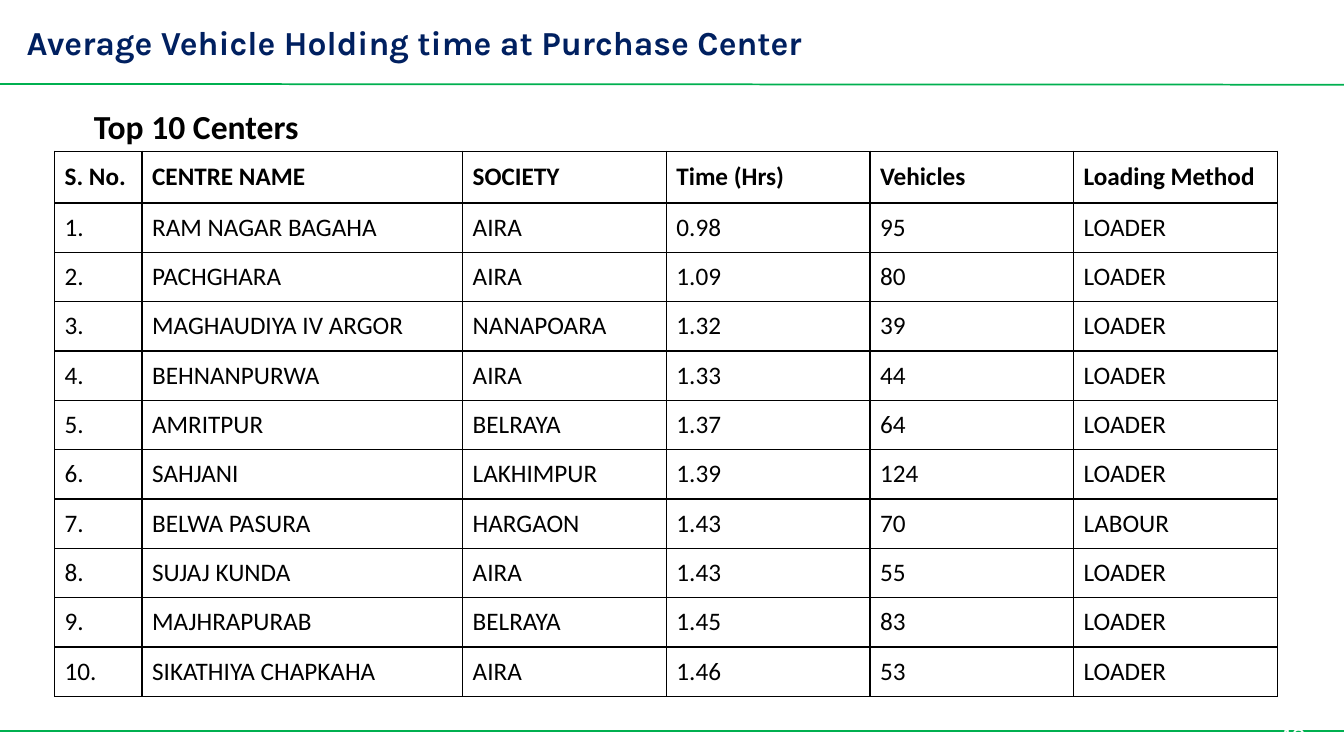
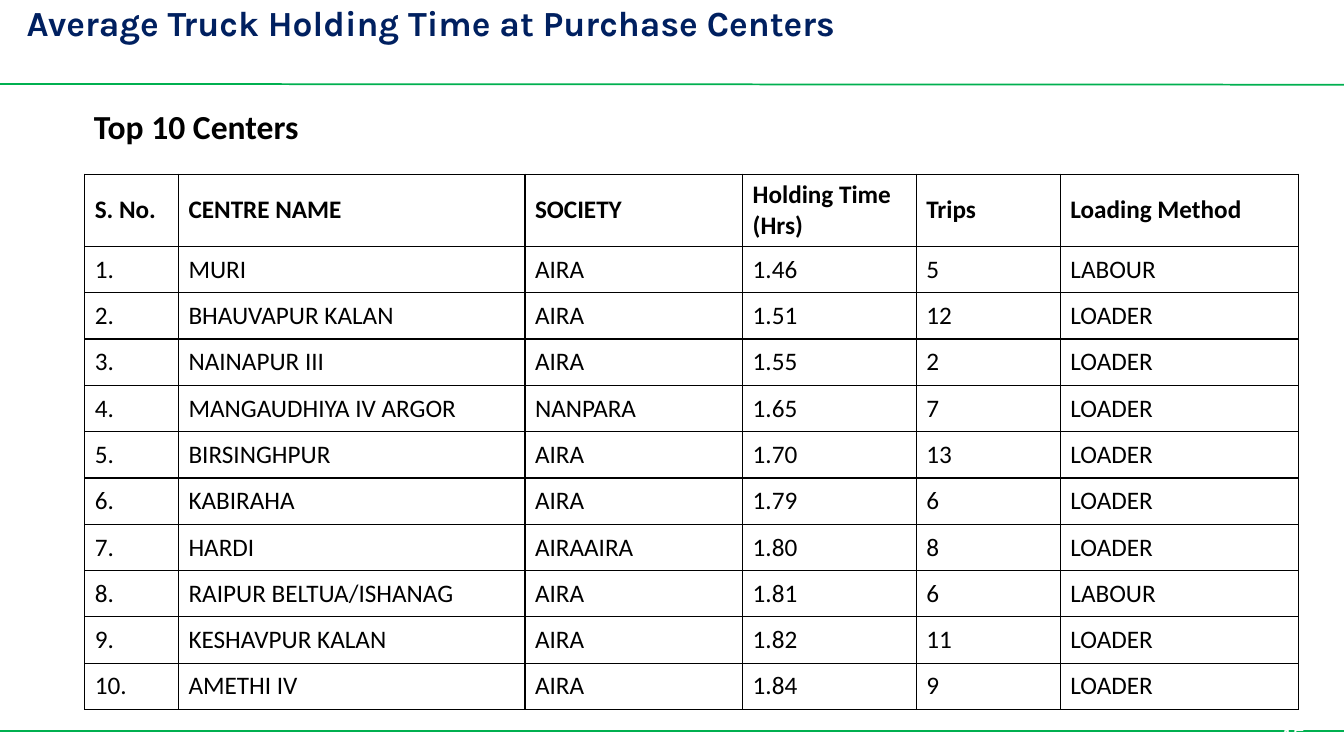
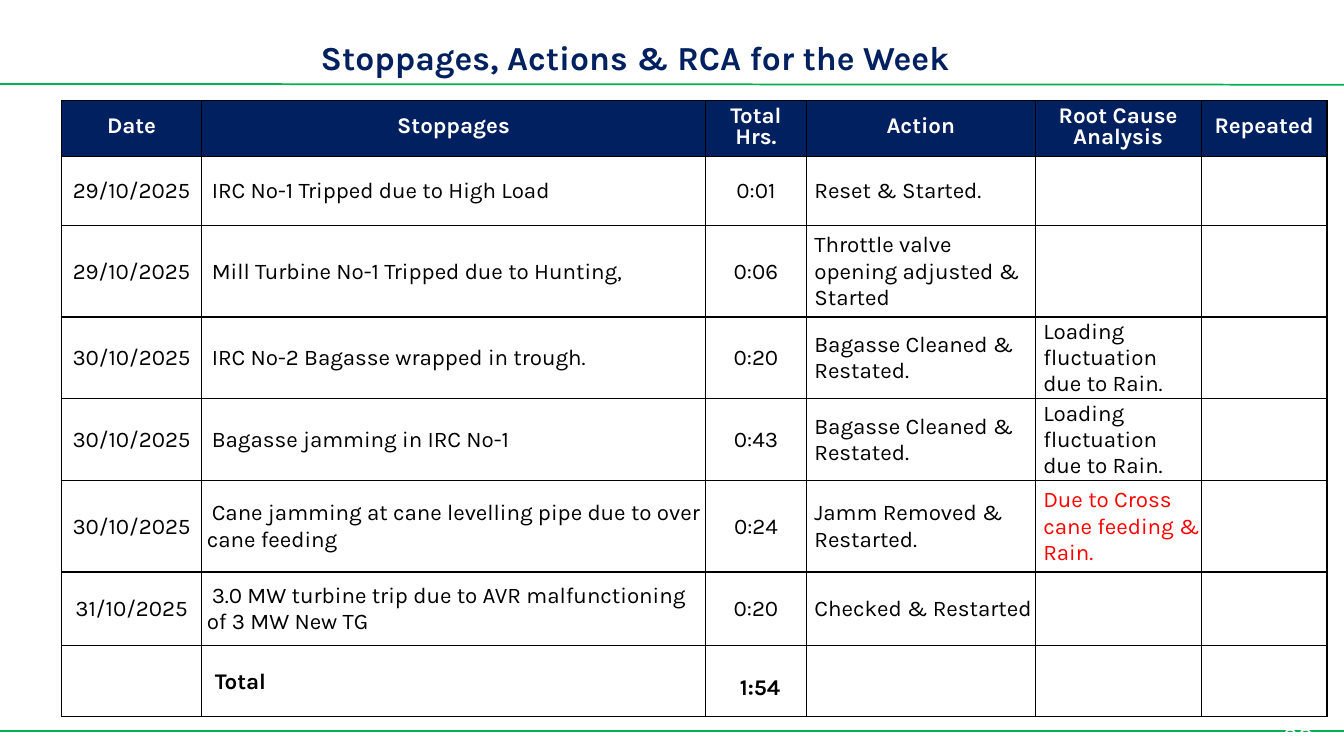
import pptx
import pptx.util
import pptx.dml.color
import pptx.enum.shapes
import pptx.enum.text
import pptx.oxml
import pptx.oxml.ns

Pt = pptx.util.Pt
ALIGN = pptx.enum.text.PP_ALIGN
MIDDLE = pptx.enum.text.MSO_ANCHOR.MIDDLE
WIDE, HIGH = 960, 540
HUES = {"navy": "002060", "green": "00B050", "black": "000000",
        "white": "FFFFFF", "red": "FF0000"}
HEAD, BODY = "Karla", "Calibri"


def tint(name):
    return pptx.dml.color.RGBColor.from_string(HUES[name])


def write(para, text, size, face, hue="black", bold=False):
    run = para.add_run()
    run.text = text
    font = run.font
    font.size, font.name, font.bold = Pt(size), face, bold
    font.color.rgb = tint(hue)


def label(slide, box, text, size, face, hue, bold=False, anchor=None):
    shape = slide.shapes.add_textbox(*map(Pt, box))
    frame = shape.text_frame
    frame.word_wrap = True
    if anchor is not None:
        frame.vertical_anchor = anchor
    write(frame.paragraphs[0], text, size, face, hue, bold)
    return frame


def rule(slide, start, end):
    line = slide.shapes.add_connector(
        pptx.enum.shapes.MSO_CONNECTOR.STRAIGHT, 0, Pt(start), Pt(WIDE), Pt(end))
    line.line.color.rgb = tint("green")
    line.line.width = Pt(1.25)
    pptx.oxml.ns.qn("a:effectLst")
    line._element.spPr.append(pptx.oxml.parse_xml(
        "<a:effectLst %s/>" % pptx.oxml.ns.nsdecls("a")))


def base(deck, title, box, page, size=24):
    """Shared rules, title and page number."""
    slide = deck.slides.add_slide(deck.slide_layouts[6])
    rule(slide, 60, 60.5)
    rule(slide, 522, 522)
    frame = label(slide, box, title, size, HEAD, "navy", True, MIDDLE)
    frame.margin_top = frame.margin_bottom = 0
    label(slide, (909.5, 511, 48, 29), page, 18, HEAD, "white")
    return slide


def edge(cell):
    """Thin black border on all four sides."""
    props = cell._tc.get_or_add_tcPr()
    for side in "LRTB":
        props.append(pptx.oxml.parse_xml(
            '<a:ln%s %s w="12700"><a:solidFill><a:srgbClr val="%s"/></a:solidFill></a:ln%s>'
            % (side, pptx.oxml.ns.nsdecls("a"), HUES["black"], side)))


def grid(slide, left, top, cols, rows):
    """Bordered empty table; returns its cells row by row."""
    table = slide.shapes.add_table(
        len(rows), len(cols), Pt(left), Pt(top), Pt(sum(cols)), Pt(sum(rows))).table
    table.first_row = table.horz_banding = False
    for col, width in zip(table.columns, cols):
        col.width = Pt(width)
    for row, height in zip(table.rows, rows):
        row.height = Pt(height)
        for cell in row.cells:
            edge(cell)
            cell.fill.background()
            cell.vertical_anchor = MIDDLE
    return [list(row.cells) for row in table.rows]


def rank(slide, left, top, cols, rows, heads, data):
    """Top-ten list under its heading."""
    cells = grid(slide, left, top, cols, rows)
    lines = [("S. No.", "CENTRE NAME", "SOCIETY", *heads, "Loading Method")]
    lines += [(f"{num}.", *line) for num, line in enumerate(data, 1)]
    for num, (row, line) in enumerate(zip(cells, lines)):
        for cell, text in zip(row, line):
            write(cell.text_frame.paragraphs[0], text, 18, BODY, bold=num == 0)
    label(slide, (60, 72, 234, 36), "Top 10 Centers", 24, BODY, "black", True)


def inset(cell, left):
    cell.margin_left = Pt(left)
    cell.margin_top = cell.margin_right = Pt(0.72)
    cell.margin_bottom = 0


def indent(para, left, first=0):
    props = para._p.get_or_add_pPr()
    props.set("marL", str(Pt(left)))
    props.set("indent", str(Pt(first)))


def stops(slide, left, top, cols, rows, heads, data, total):
    """Stoppage log with head row and total row."""
    cells = grid(slide, left, top, cols, rows)
    for cell, text in zip(cells[0], heads):
        cell.fill.solid()
        cell.fill.fore_color.rgb = tint("navy")
        para = cell.text_frame.paragraphs[0]
        para.alignment, para.line_spacing = ALIGN.CENTER, Pt(15)
        write(para, text, 16, HEAD, "white", True)
    for row, line in zip(cells[1:], data):
        for col, (cell, text) in enumerate(zip(row, line)):
            if not text:
                continue
            inset(cell, 5.76 if col > 2 else 0.72)
            para = cell.text_frame.paragraphs[0]
            if col in (0, 2):
                para.alignment = ALIGN.CENTER
            elif col == 1:
                indent(para, 3, 3.6)
            hue = "red" if text.startswith("Due to") else "black"
            write(para, text, 16, HEAD, hue)
    # Total row
    name, time = cells[-1][1:3]
    inset(name, 6.5)
    para = name.text_frame.paragraphs[0]
    indent(para, 3)
    write(para, "Total", 16, HEAD, bold=True)
    para = time.text_frame.paragraphs[0]
    indent(para, 5.76)
    para.alignment, para.line_spacing = ALIGN.CENTER, 1.5
    write(para, total, 16, HEAD, bold=True)


CARTS = [
    ("RAM NAGAR BAGAHA", "AIRA", "0.98", "95", "LOADER"),
    ("PACHGHARA", "AIRA", "1.09", "80", "LOADER"),
    ("MAGHAUDIYA IV ARGOR", "NANAPOARA", "1.32", "39", "LOADER"),
    ("BEHNANPURWA", "AIRA", "1.33", "44", "LOADER"),
    ("AMRITPUR", "BELRAYA", "1.37", "64", "LOADER"),
    ("SAHJANI", "LAKHIMPUR", "1.39", "124", "LOADER"),
    ("BELWA PASURA", "HARGAON", "1.43", "70", "LABOUR"),
    ("SUJAJ KUNDA", "AIRA", "1.43", "55", "LOADER"),
    ("MAJHRAPURAB", "BELRAYA", "1.45", "83", "LOADER"),
    ("SIKATHIYA CHAPKAHA", "AIRA", "1.46", "53", "LOADER"),
]
TRUCKS = [
    ("MURI", "AIRA", "1.46", "5", "LABOUR"),
    ("BHAUVAPUR KALAN", "AIRA", "1.51", "12", "LOADER"),
    ("NAINAPUR III", "AIRA", "1.55", "2", "LOADER"),
    ("MANGAUDHIYA IV ARGOR", "NANPARA", "1.65", "7", "LOADER"),
    ("BIRSINGHPUR", "AIRA", "1.70", "13", "LOADER"),
    ("KABIRAHA", "AIRA", "1.79", "6", "LOADER"),
    ("HARDI", "AIRAAIRA", "1.80", "8", "LOADER"),
    ("RAIPUR BELTUA/ISHANAG", "AIRA", "1.81", "6", "LABOUR"),
    ("KESHAVPUR KALAN", "AIRA", "1.82", "11", "LOADER"),
    ("AMETHI IV", "AIRA", "1.84", "9", "LOADER"),
]
RAIN = "Loading fluctuation due to Rain."
CLEAN = "Bagasse Cleaned & Restated."
HALTS = [
    ("29/10/2025", "IRC No-1 Tripped due to High Load", "0:01", "Reset & Started.", ""),
    ("29/10/2025", "Mill Turbine No-1 Tripped due to Hunting,", "0:06",
     "Throttle valve opening adjusted & Started", ""),
    ("30/10/2025", "IRC No-2 Bagasse wrapped in trough.", "0:20", CLEAN, RAIN),
    ("30/10/2025", "Bagasse jamming in IRC No-1", "0:43", CLEAN, RAIN),
    ("30/10/2025", "Cane jamming at cane levelling pipe due to over cane feeding",
     "0:24", "Jamm Removed & Restarted.", "Due to Cross cane feeding & Rain."),
    ("31/10/2025", "3.0 MW turbine trip due to AVR malfunctioning of 3 MW New TG",
     "0:20", "Checked & Restarted", ""),
]


def main():
    deck = pptx.Presentation()
    deck.slide_width, deck.slide_height = Pt(WIDE), Pt(HIGH)

    # Vehicle holding time
    slide = base(deck, "Average Vehicle Holding time at Purchase Center",
                 (12, 6, 804, 48), "13")
    rank(slide, 39, 108, [62.5, 229] + [145.5] * 4, [37] + [35.25] * 10,
         ("Time (Hrs)", "Vehicles"), CARTS)

    # Truck holding time
    slide = base(deck, "Average Truck Holding Time at Purchase Centers",
                 (12, 0, 810, 32), "15", 25.2)
    rank(slide, 60.5, 124.5, [67, 247.5, 155.5, 124, 103, 170], [51.5] + [33.1] * 10,
         ("Holding Time (Hrs)", "Trips"), TRUCKS)

    # Weekly stoppages
    slide = base(deck, "Stoppages, Actions & RCA for the Week",
                 (222, 21, 499, 39), "32")
    stops(slide, 44, 72, [100, 360, 72, 163.5, 118.5, 90],
          [40, 49, 65.5, 56.75, 56.75, 65.5, 52.5, 51],
          ("Date", "Stoppages", "Total Hrs.", "Action", "Root Cause Analysis", "Repeated"),
          HALTS, "1:54")

    deck.save("out.pptx")


if __name__ == "__main__":
    main()
